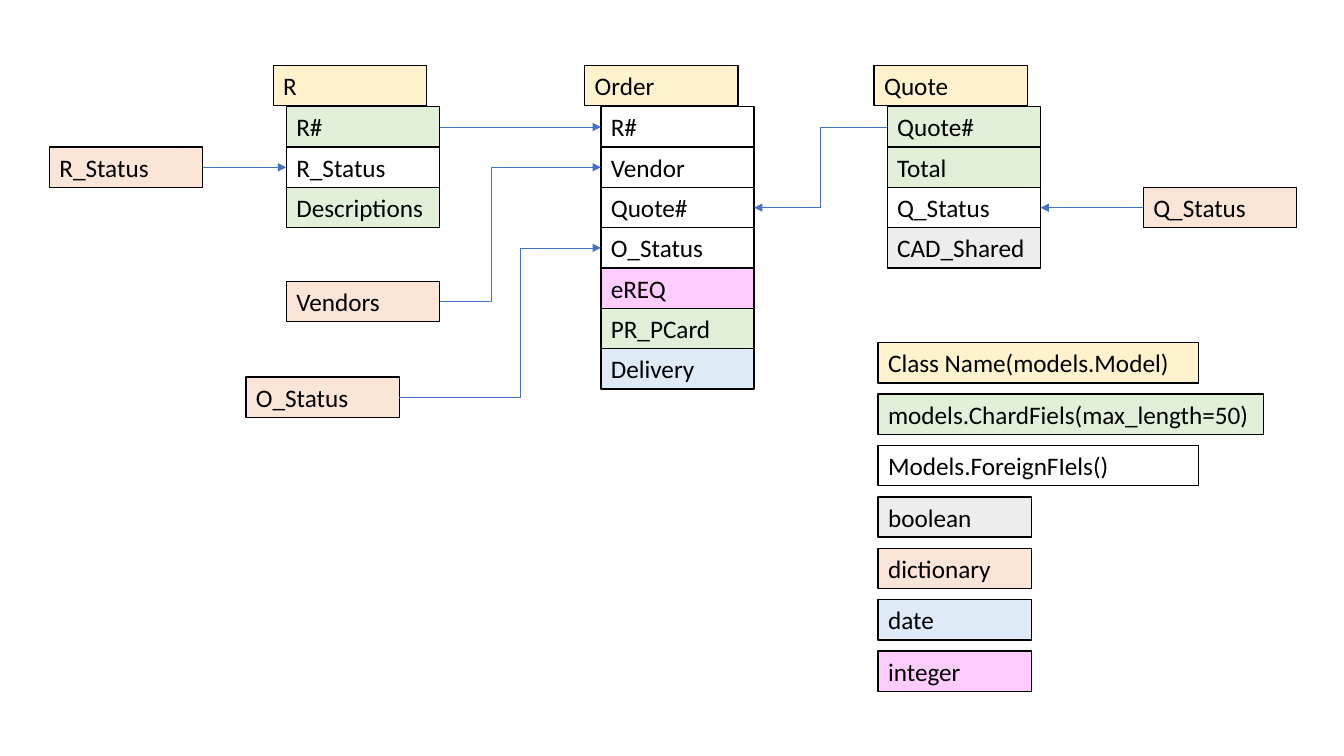
import pptx
import pptx.dml.color
import pptx.enum.shapes
import pptx.enum.text
import pptx.oxml
import pptx.oxml.ns
import pptx.util
from pptx.util import Inches

THEME = {
    "font": "Calibri",
    "size": 18,
    "text": "000000",
    "border": "000000",
    "border_width": 1,
    "arrow": "4472C4",
    "arrow_width": 0.5,
    "class": "FFF2CC",
    "char": "E2F0D9",
    "foreign": "FFFFFF",
    "boolean": "EDEDED",
    "dictionary": "FBE5D6",
    "date": "DEEBF7",
    "integer": "FFCCFF",
}

# Model name, left of its header, left of its fields, fields with their kinds
MODELS = [
    ("R", 2.71, 2.84, [("R#", "char"), ("R_Status", "foreign"), ("Descriptions", "char")]),
    ("Order", 5.8, 5.96, [
        ("R#", "foreign"), ("Vendor", "foreign"), ("Quote#", "foreign"), ("O_Status", "foreign"),
        ("eREQ", "integer"), ("PR_PCard", "char"), ("Delivery", "date"),
    ]),
    ("Quote", 8.67, 8.8, [
        ("Quote#", "char"), ("Total", "char"), ("Q_Status", "foreign"), ("CAD_Shared", "boolean"),
    ]),
]

# Dictionary name, left, top
DICTIONARIES = [
    ("R_Status", 0.49, 1.46),
    ("Vendors", 2.84, 2.79),
    ("O_Status", 2.44, 3.74),
    ("Q_Status", 11.34, 1.86),
]

# Source, target, position of the bend along the way (None for a straight arrow)
RELATIONS = [
    (("dictionary", "R_Status"), ("R", "R_Status"), None),
    (("R", "R#"), ("Order", "R#"), None),
    (("dictionary", "Vendors"), ("Order", "Vendor"), 0.32),
    (("Quote", "Quote#"), ("Order", "Quote#"), 0.5),
    (("dictionary", "O_Status"), ("Order", "O_Status"), 0.6),
    (("dictionary", "Q_Status"), ("Quote", "Q_Status"), None),
]

FIELD_WIDTH = 1.52
LEGEND = [
    ("Class Name(models.Model)", "class", 3.18),
    ("models.ChardFiels(max_length=50)", "char", 3.82),
    ("Models.ForeignFIels()", "foreign", 3.18),
    ("boolean", "boolean", FIELD_WIDTH),
    ("dictionary", "dictionary", FIELD_WIDTH),
    ("date", "date", FIELD_WIDTH),
    ("integer", "integer", FIELD_WIDTH),
]

ROW_HEIGHT = 0.4
HEADER_TOP, FIELDS_TOP = 0.65, 1.06
LEGEND_LEFT, LEGEND_TOP, LEGEND_PITCH = 8.71, 3.4, 0.51
LEFT_SIDE, RIGHT_SIDE = 1, 3


def rgb(name):
    return pptx.dml.color.RGBColor.from_string(THEME[name])


def add_label(slide, wording, kind, left, top, width=FIELD_WIDTH):
    label = slide.shapes.add_textbox(Inches(left), Inches(top), Inches(width), Inches(ROW_HEIGHT))
    label.fill.solid()
    label.fill.fore_color.rgb = rgb(kind)
    label.line.color.rgb = rgb("border")
    label.line.width = pptx.util.Pt(THEME["border_width"])
    frame = label.text_frame
    frame.word_wrap = True
    frame.auto_size = pptx.enum.text.MSO_AUTO_SIZE.SHAPE_TO_FIT_TEXT
    paragraph = frame.paragraphs[0]
    paragraph.text = wording
    paragraph.font.name = THEME["font"]
    paragraph.font.size = pptx.util.Pt(THEME["size"])
    paragraph.font.color.rgb = rgb("text")
    return label


def add_relation(slide, source, target, bend):
    """Join the facing sides of two labels with an arrow to the target."""
    rightward = source.left < target.left
    source_side, target_side = (RIGHT_SIDE, LEFT_SIDE) if rightward else (LEFT_SIDE, RIGHT_SIDE)
    start_x = source.left + (source.width if rightward else 0)
    end_x = target.left + (0 if rightward else target.width)
    kinds = pptx.enum.shapes.MSO_CONNECTOR
    arrow = slide.shapes.add_connector(
        kinds.STRAIGHT if bend is None else kinds.ELBOW,
        start_x, source.top + source.height // 2,
        end_x, target.top + target.height // 2,
    )
    arrow.begin_connect(source, source_side)
    arrow.end_connect(target, target_side)
    arrow.line.color.rgb = rgb("arrow")
    arrow.line.width = pptx.util.Pt(THEME["arrow_width"])

    def add_element(parent, tag, **attributes):
        element = pptx.oxml.parse_xml(f"<{tag} {pptx.oxml.ns.nsdecls('a')}/>")
        for key, setting in attributes.items():
            element.set(key, setting)
        parent.append(element)

    properties = arrow._element.spPr
    add_element(properties.find(pptx.oxml.ns.qn("a:ln")), "a:tailEnd", type="triangle")
    add_element(properties, "a:effectLst")
    if bend is not None:
        guides = properties.find(".//" + pptx.oxml.ns.qn("a:avLst"))
        add_element(guides, "a:gd", name="adj1", fmla=f"val {round(bend * 100000)}")


def main():
    presentation = pptx.Presentation()
    presentation.slide_width, presentation.slide_height = Inches(13.33), Inches(7.5)
    slide = presentation.slides.add_slide(presentation.slide_layouts[6])

    labels = {}
    for model, header_left, fields_left, fields in MODELS:
        add_label(slide, model, "class", header_left, HEADER_TOP)
        for row, (field, kind) in enumerate(fields):
            top = FIELDS_TOP + row * ROW_HEIGHT
            labels[model, field] = add_label(slide, field, kind, fields_left, top)
    for name, left, top in DICTIONARIES:
        labels["dictionary", name] = add_label(slide, name, "dictionary", left, top)
    for source, target, bend in RELATIONS:
        add_relation(slide, labels[source], labels[target], bend)
    for row, (wording, kind, width) in enumerate(LEGEND):
        add_label(slide, wording, kind, LEGEND_LEFT, LEGEND_TOP + row * LEGEND_PITCH, width)

    presentation.save("out.pptx")


if __name__ == "__main__":
    main()
